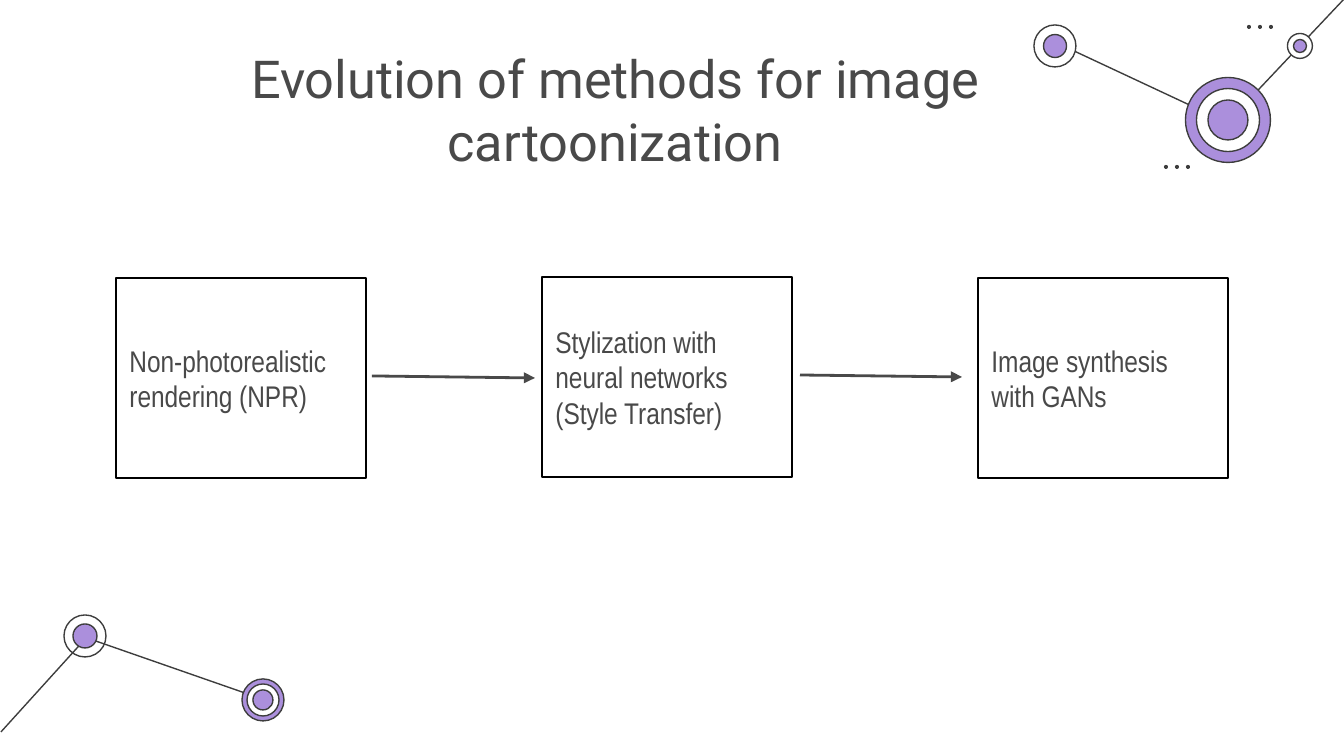
from lxml.etree import SubElement
from pptx import Presentation
from pptx.dml.color import RGBColor
from pptx.enum.shapes import MSO_CONNECTOR, MSO_SHAPE
from pptx.enum.text import MSO_ANCHOR, MSO_AUTO_SIZE, PP_ALIGN
from pptx.oxml.ns import qn
from pptx.util import Pt

PX = 914400 / 134.4
INK, DARK, LILAC, WHITE, BLACK = "494949", "3D3D3D", "AB8FDC", "FFFFFF", "000000"

TITLE = "Evolution of methods for image cartoonization"
TITLE_AT = (133, 51, 964, 117)
STEPS = [
    ((116, 278), ["Non-photorealistic rendering (NPR)"]),
    ((542, 277), ["Stylization with neural networks", "(Style Transfer)"]),
    ((978, 278), ["Image synthesis with GANs"]),
]
STEP_SIZE = (250, 200)
ARROWS = [(372, 376, 535, 378), (800, 375, 962, 377)]
LINKS = [
    (87, 638, 265, 700), (1, 732, 87, 637),
    (1228, 123, 1057, 43), (1344, -1, 1228, 122),
]
NODES = [
    ((85, 636), [(42, None), (24, LILAC)]),
    ((263, 700), [(42, LILAC), (32, WHITE), (20, LILAC)]),
    ((1228, 120), [(85, LILAC), (63, WHITE), (40, LILAC)]),
    ((1055, 46), [(42, WHITE), (23, LILAC)]),
    ((1300, 46), [(25, WHITE), (13, LILAC)]),
]
DOTS = [(1249, 27), (1166, 167)]
DOT_GAP, DOT_SIZE = 11, 4


def emu(*vals):
    return [round(v * PX) for v in vals]


def rgb(code):
    return RGBColor.from_string(code)


def paint(fill, code):
    if code:
        fill.solid()
        fill.fore_color.rgb = rgb(code)
    else:
        fill.background()


def stroke(line, code, width):
    paint(line.fill, code)
    line.width = Pt(width)


def circle(slide, mid, size, fill, edge=DARK):
    x, y = mid
    box = emu(x - size / 2, y - size / 2, size, size)
    shape = slide.shapes.add_shape(MSO_SHAPE.OVAL, *box)
    shape.shadow.inherit = False
    paint(shape.fill, fill)
    if edge:
        stroke(shape.line, edge, 0.75)
    else:
        shape.line.fill.background()


def join(slide, ends, code, width, head=False):
    link = slide.shapes.add_connector(MSO_CONNECTOR.STRAIGHT, *emu(*ends))
    stroke(link.line, code, width)
    if head:
        SubElement(link.line._ln, qn("a:tailEnd"), type="triangle")
    SubElement(link._element.spPr, qn("a:effectLst"))


def place(shape, box):
    shape.left, shape.top, shape.width, shape.height = emu(*box)


def write(shape, paras, font, size, align):
    frame = shape.text_frame
    frame.word_wrap = True
    frame.auto_size = MSO_AUTO_SIZE.NONE
    frame.vertical_anchor = MSO_ANCHOR.MIDDLE
    frame.margin_left = frame.margin_right = Pt(7.2)
    frame.margin_top = frame.margin_bottom = Pt(7.2)
    for i, text in enumerate(paras):
        para = frame.add_paragraph() if i else frame.paragraphs[0]
        props = para._p.get_or_add_pPr()
        props.set("marL", "0")
        props.set("indent", "0")
        SubElement(props, qn("a:buNone"))
        para.alignment = align
        para.space_before = para.space_after = Pt(0)
        run = para.add_run()
        run.text = text
        run.font.name = font
        run.font.size = Pt(size)
        run.font.bold = False
        run.font.color.rgb = rgb(INK)


def main():
    """Build the slide on cartoonization methods."""
    deck = Presentation()
    deck.slide_width, deck.slide_height = emu(1344, 756)
    slide = deck.slides.add_slide(deck.slide_layouts[4])
    paint(slide.background.fill, WHITE)

    for ends in LINKS:
        join(slide, ends, DARK, 0.75)
    for mid, rings in NODES:
        for size, fill in rings:
            circle(slide, mid, size, fill)
    for x, y in DOTS:
        for i in range(3):
            circle(slide, (x + i * DOT_GAP, y), DOT_SIZE, DARK, None)

    title, *bodies = list(slide.placeholders)
    place(title, TITLE_AT)
    write(title, [TITLE], "Roboto", 28, PP_ALIGN.CENTER)
    for body, (spot, paras) in zip(bodies, STEPS):
        place(body, spot + STEP_SIZE)
        stroke(body.line, BLACK, 1.5)
        write(body, paras, "Arial Narrow", 16, PP_ALIGN.LEFT)
    for spare in bodies[len(STEPS):]:
        spare._element.getparent().remove(spare._element)
    for ends in ARROWS:
        join(slide, ends, INK, 1.5, head=True)

    deck.save("out.pptx")


if __name__ == "__main__":
    main()
